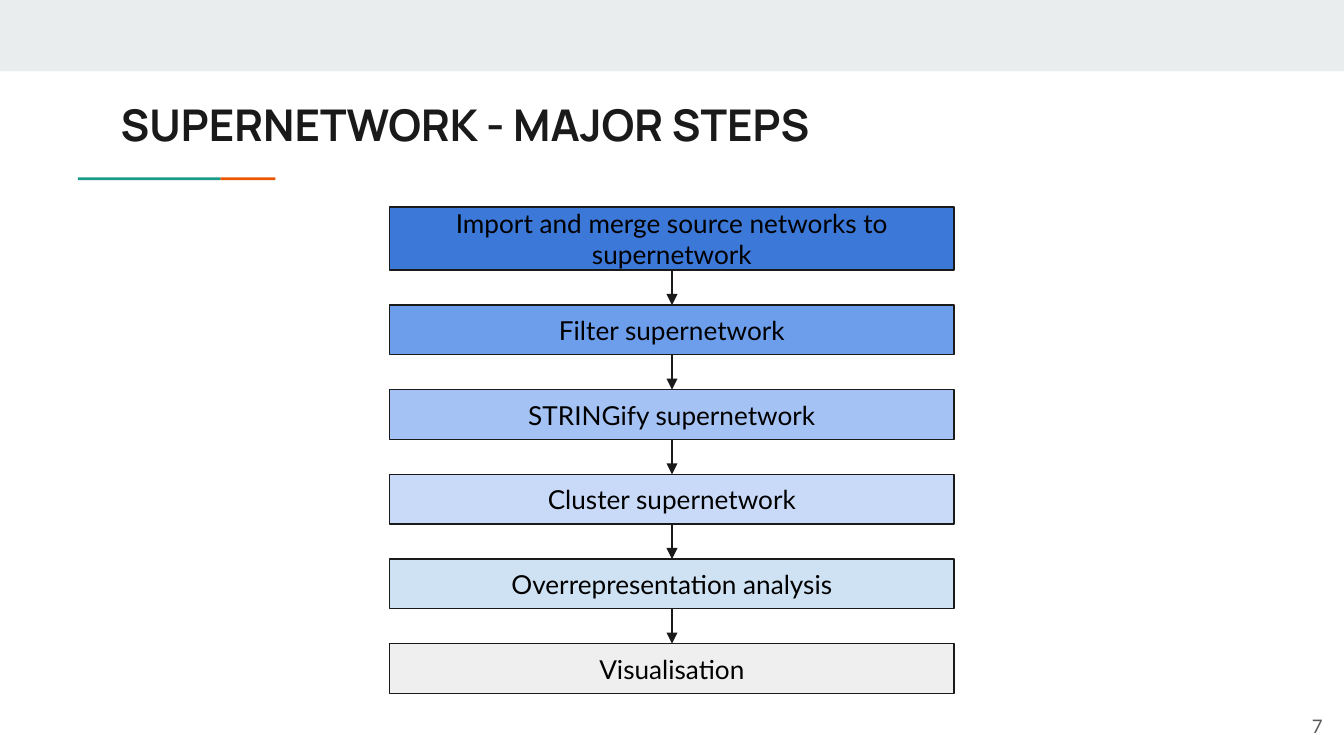
"""Build the slide of the six major supernetwork steps as a flow chart."""
from lxml import etree
from pptx import Presentation
from pptx.dml.color import RGBColor
from pptx.enum.shapes import MSO_CONNECTOR, MSO_SHAPE
from pptx.enum.text import MSO_ANCHOR, PP_ALIGN
from pptx.oxml.ns import qn
from pptx.util import Inches, Pt

RECTANGLE = MSO_SHAPE.RECTANGLE
STRAIGHT = MSO_CONNECTOR.STRAIGHT
TOP, MIDDLE = MSO_ANCHOR.TOP, MSO_ANCHOR.MIDDLE
LEFT, CENTER, RIGHT = PP_ALIGN.LEFT, PP_ALIGN.CENTER, PP_ALIGN.RIGHT
INK = "1A1A1A"


def color(hex_value):
    return RGBColor.from_string(hex_value)


def write(box, text, font_color, align, anchor, font_format):
    frame = box.text_frame
    frame_format = {"word_wrap": True, "vertical_anchor": anchor}
    for side in ("left", "top", "right", "bottom"):
        frame_format[f"margin_{side}"] = Inches(0.1)
    for name, value in frame_format.items():
        setattr(frame, name, value)
    para = frame.paragraphs[0]
    para.alignment = align
    span = para.add_run()
    span.text = text
    for name, value in font_format.items():
        setattr(span.font, name, value)
    span.font.color.rgb = color(font_color)


deck = Presentation()
deck.slide_width = Inches(10)
deck.slide_height = Inches(10) * 9 // 16
page = deck.slides.add_slide(deck.slide_layouts[6])
shapes = page.shapes

bars = [
    (0, 0, 10, 0.53, "E9EDEE"),
    (1.64, 1.32, 0.41, 0.02, "EB5600"),
    (0.58, 1.32, 1.06, 0.02, "1A9988"),
]
for left, top, width, height, fill in bars:
    bar = shapes.add_shape(RECTANGLE, Inches(left), Inches(top), Inches(width), Inches(height))
    bar.shadow.inherit = False
    bar.fill.solid()
    bar.fill.fore_color.rgb = color(fill)
    bar.line.fill.background()

title = shapes.add_textbox(Inches(0.8), Inches(0.63), Inches(8.41), Inches(0.59))
write(title, "SUPERNETWORK - MAJOR STEPS", INK, LEFT, TOP,
      {"name": "Manrope", "size": Pt(23.4), "bold": True})

steps = [
    ("Import and merge source networks to supernetwork", "3C78D8", 0.47),
    ("Filter supernetwork", "6D9EEB", 0.37),
    ("STRINGify supernetwork", "A4C2F4", 0.37),
    ("Cluster supernetwork", "C9DAF8", 0.37),
    ("Overrepresentation analysis", "CFE2F3", 0.37),
    ("Visualisation", "EFEFEF", 0.37),
]
gap = 0.26
step_top = 1.54
step_boxes = []
for text, fill, height in steps:
    box = shapes.add_shape(RECTANGLE, Inches(2.9), Inches(step_top), Inches(4.2), Inches(height))
    box.shadow.inherit = False
    box.fill.solid()
    box.fill.fore_color.rgb = color(fill)
    box.line.color.rgb = color(INK)
    box.line.width = Pt(0.75)
    write(box, text, "000000", CENTER, MIDDLE, {"name": "Lato", "size": Pt(14)})
    step_boxes.append(box)
    step_top += height + gap

for upper, lower in zip(step_boxes, step_boxes[1:]):
    arrow = shapes.add_connector(STRAIGHT, 0, 0, 0, 0)
    arrow.begin_connect(upper, 2)
    arrow.end_connect(lower, 0)
    arrow.line.color.rgb = color(INK)
    arrow.line.width = Pt(0.75)
    properties = arrow.element.spPr
    etree.SubElement(properties.find(qn("a:ln")), qn("a:tailEnd"), type="triangle")
    etree.SubElement(properties, qn("a:effectLst"))

number = shapes.add_textbox(Inches(9.34), Inches(5.19), Inches(0.6), Inches(0.43))
write(number, "7", "595959", RIGHT, MIDDLE, {"name": "Lato", "size": Pt(10)})

deck.save("out.pptx")
